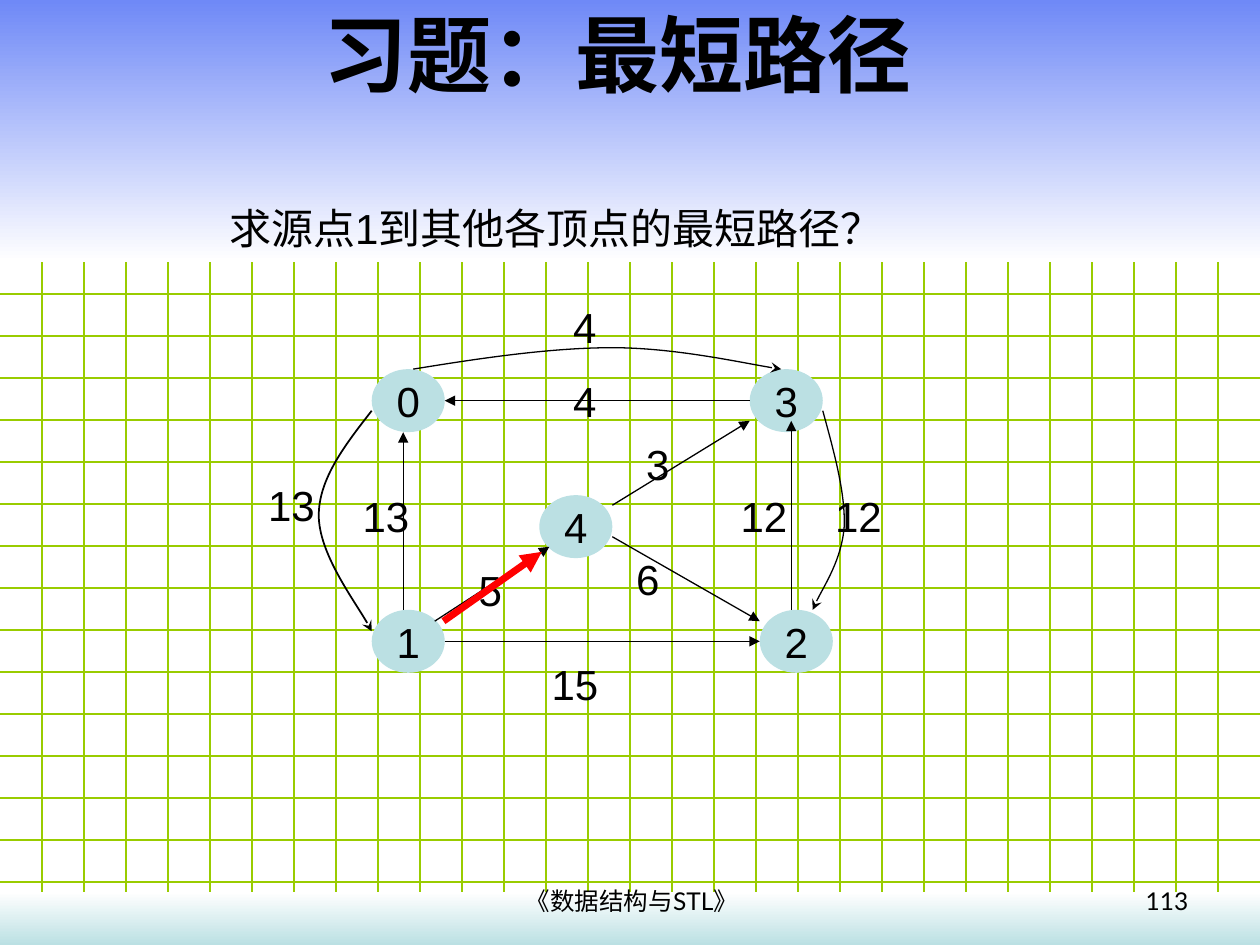
from lxml import etree
from pptx import Presentation
from pptx.dml.color import RGBColor
from pptx.enum.shapes import MSO_CONNECTOR, MSO_SHAPE
from pptx.enum.text import MSO_ANCHOR, PP_ALIGN
from pptx.oxml.ns import qn
from pptx.util import Inches, Pt

STRAIGHT = MSO_CONNECTOR.STRAIGHT
RECTANGLE, OVAL = MSO_SHAPE.RECTANGLE, MSO_SHAPE.OVAL
LEFT, CENTER, RIGHT = PP_ALIGN.LEFT, PP_ALIGN.CENTER, PP_ALIGN.RIGHT
TOP, MIDDLE = MSO_ANCHOR.TOP, MSO_ANCHOR.MIDDLE

WIDTH, HEIGHT, GRID_STEP = 10, 7.5, 1 / 3
BLACK, RED, GREEN, TEAL, WHITE = "000000", "FF0000", "99CC00", "BBE0E3", "FFFFFF"
NODE_SIZE = (0.58, 0.5)
GRAPH_FORMAT = {"name": "Arial", "size": Pt(24)}
TITLE_FORMAT = {"name": "Arial", "size": Pt(48), "bold": True}
FOOTER_FORMAT = {"name": "Lato", "size": Pt(14)}

BANDS = [((0, 0, WIDTH, 2.08), "6F89F7", WHITE), ((0, 7.08, WIDTH, 0.42), WHITE, TEAL)]
TEXTS = [
    ("习题：最短路径", (0, 0, 9.8, 0.84), TITLE_FORMAT, CENTER, MIDDLE),
    ("求源点1到其他各顶点的最短路径？", (1.72, 1.56, 5.67, 0.5), GRAPH_FORMAT, LEFT, TOP),
    ("《数据结构与STL》", (3.43, 6.98, 3.17, 0.36), FOOTER_FORMAT, CENTER, TOP),
    ("113", (7.2, 6.98, 2.33, 0.36), FOOTER_FORMAT, RIGHT, TOP),
]
NODES = [("0", 2.95, 2.93), ("1", 2.95, 4.84), ("4", 4.28, 3.93), ("3", 5.95, 2.93), ("2", 6.03, 4.84)]
EDGES = [
    ((3.2, 4.84), (3.2, 3.43)),
    ((3.45, 4.93), (4.36, 4.34)),
    ((3.53, 5.09), (6.03, 5.09)),
    ((6.28, 4.84), (6.28, 3.34)),
    ((4.86, 4.26), (6.03, 4.93)),
    ((4.86, 4.01), (5.95, 3.34)),
    ((5.95, 3.18), (3.53, 3.18)),
]
CURVES = [
    (1, (2.95, 3.26), [((2.74, 3.53), (2.53, 3.8), (2.53, 4.09)), ((2.53, 4.39), (2.88, 4.86), (2.95, 5.01))]),
    (0.75, (3.28, 2.93), [((3.83, 2.84), (4.38, 2.76), (4.86, 2.76)), ((5.35, 2.76), (5.98, 2.9), (6.2, 2.93))]),
    (0.75, (6.53, 3.26), [((6.62, 3.59), (6.71, 3.91), (6.7, 4.18)), ((6.68, 4.44), (6.49, 4.73), (6.45, 4.84))]),
]
WEIGHTS = [
    ("13", 2.03, 3.76), ("15", 4.28, 5.18), ("4", 4.45, 2.34), ("4", 4.45, 2.93), ("13", 2.78, 3.84),
    ("5", 3.7, 4.43), ("6", 4.95, 4.34), ("12", 6.53, 3.84), ("12", 5.78, 3.84), ("3", 5.03, 3.43),
]
CHOSEN_EDGE = ((3.52, 4.93), (4.3, 4.38))


def color(value):
    return RGBColor.from_string(value)


def lengths(values):
    return [Inches(value) for value in values]


def write(shape, text, font_format, align, anchor, wrap=True):
    frame = shape.text_frame
    frame.word_wrap, frame.vertical_anchor = wrap, anchor
    paragraph = frame.paragraphs[0]
    paragraph.alignment = align
    span = paragraph.add_run()
    span.text = text
    for name, value in font_format.items():
        setattr(span.font, name, value)
    span.font.color.rgb = color(BLACK)


def add_text(shapes, text, place, font_format, align, anchor):
    write(shapes.add_textbox(*lengths(place)), text, font_format, align, anchor)


def style_line(shape, line_color, width, arrow=None):
    shape.line.color.rgb = color(line_color)
    shape.line.width = Pt(width)
    if arrow:
        etree.SubElement(shape.line._get_or_add_ln(), qn("a:tailEnd"), type=arrow)


def add_line(shapes, start, end, line_color=BLACK, width=0.75, arrow=None):
    line = shapes.add_connector(STRAIGHT, *lengths(start + end))
    style_line(line, line_color, width, arrow)
    etree.SubElement(line._element.spPr, qn("a:effectLst"))


def add_curve(shapes, width, start, segments):
    builder = shapes.build_freeform(*lengths(start))
    builder.add_line_segments([lengths(segment[-1]) for segment in segments], close=False)
    curve = builder.convert_to_shape()
    for straight, segment in zip(list(curve._element.iter(qn("a:lnTo"))), segments):
        bend = etree.Element(qn("a:cubicBezTo"))
        for x, y in segment:
            etree.SubElement(bend, qn("a:pt"), x=str(Inches(x) - curve.left), y=str(Inches(y) - curve.top))
        straight.getparent().replace(straight, bend)
    curve.shadow.inherit = False
    curve.fill.background()
    style_line(curve, BLACK, width, "stealth")


def add_band(shapes, place, top_color, bottom_color):
    band = shapes.add_shape(RECTANGLE, *lengths(place))
    band.shadow.inherit = False
    band.line.fill.background()
    band.fill.gradient()
    band.fill.gradient_angle = 270
    for stop, value, position in zip(band.fill.gradient_stops, (top_color, bottom_color), (0, 1)):
        stop.color.rgb = color(value)
        stop.position = position


def add_node(shapes, text, x, y):
    node = shapes.add_shape(OVAL, *lengths((x, y) + NODE_SIZE))
    node.shadow.inherit = False
    node.fill.solid()
    node.fill.fore_color.rgb = color(TEAL)
    node.line.fill.background()
    write(node, text, GRAPH_FORMAT, CENTER, MIDDLE, wrap=False)


def main():
    """Build the shortest-path exercise slide."""
    deck = Presentation()
    deck.slide_width, deck.slide_height = lengths((WIDTH, HEIGHT))
    page = deck.slides.add_slide(deck.slide_layouts[6])
    page.background.fill.solid()
    page.background.fill.fore_color.rgb = color(WHITE)

    grid = page.shapes.add_group_shape().shapes
    for row in range(1, 23):
        add_line(grid, (0, row * GRID_STEP), (WIDTH, row * GRID_STEP), GREEN)
    for column in range(1, 30):
        add_line(grid, (column * GRID_STEP, 0), (column * GRID_STEP, HEIGHT), GREEN)
    for band in BANDS:
        add_band(page.shapes, *band)

    graph = page.shapes.add_group_shape().shapes
    for node in NODES:
        add_node(graph, *node)
    for start, end in EDGES:
        add_line(graph, start, end, arrow="triangle")
    for curve in CURVES:
        add_curve(graph, *curve)
    for text, x, y in WEIGHTS:
        add_text(graph, text, (x, y) + NODE_SIZE, GRAPH_FORMAT, LEFT, TOP)

    for item in TEXTS:
        add_text(page.shapes, *item)
    add_line(page.shapes, *CHOSEN_EDGE, RED, 4, "triangle")
    deck.save("out.pptx")


if __name__ == "__main__":
    main()
